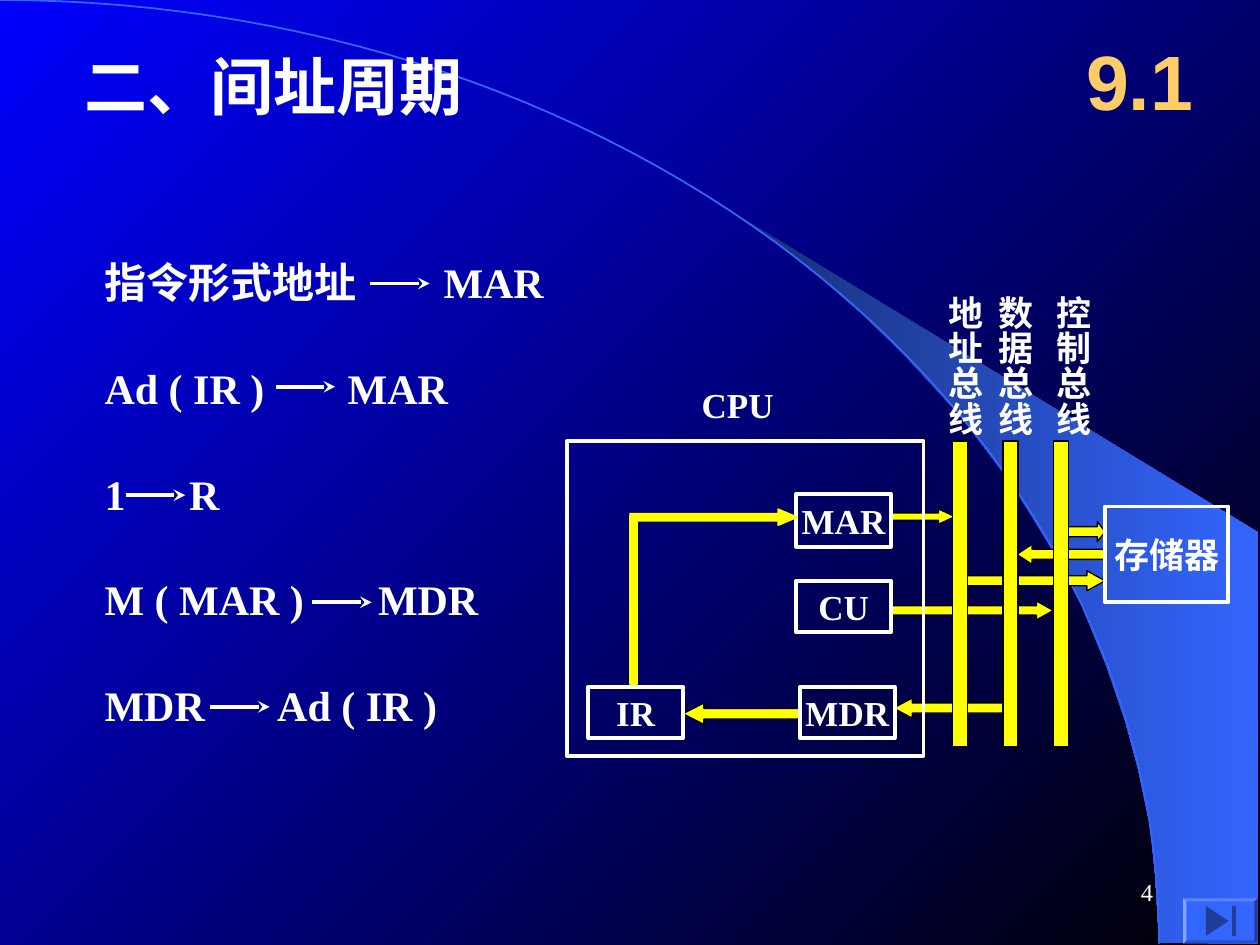
from math import cos, pi, sin
from lxml.etree import SubElement
from pptx import Presentation
from pptx.dml.color import RGBColor
from pptx.enum.shapes import MSO_CONNECTOR, MSO_SHAPE
from pptx.enum.text import MSO_ANCHOR, MSO_AUTO_SIZE, PP_ALIGN
from pptx.oxml.ns import qn
from pptx.util import Inches, Pt

WHITE, YELLOW, BLACK = "FFFFFF", "FFFF00", "000000"
BLUE, NAVY, GOLD = "3366FF", "1F3D99", "FFCC66"
SERIF = "Times New Roman"
RIGHT, LEFT = MSO_SHAPE.RIGHT_ARROW, MSO_SHAPE.LEFT_ARROW

WEDGE = [
    (9.2, 7.48), (9.99, 7.49), (9.99, 4.23), (5.89, 1.73), (6.24, 1.99), (6.53, 2.22),
    (6.85, 2.5), (7.16, 2.8), (7.62, 3.3), (8.03, 3.84), (8.32, 4.31), (8.58, 4.79),
    (8.78, 5.28), (8.93, 5.72), (9.03, 6.09), (9.13, 6.56), (9.17, 6.96),
]
ARC_WIDTH, ARC_HEIGHT, ARC_STEPS = 9.2, 7.49, 60

# source, target, arrow start, arrow height, target offset
STEPS = [
    ("指令形式地址", "MAR", 2.94, 2.25, 2.69),
    ("Ad ( IR )", "MAR", 2.19, 3.07, 1.93),
    ("1", "R", 1.0, 3.93, 0.67),
    ("M ( MAR )", "MDR", 2.48, 4.78, 2.17),
    ("MDR", "Ad ( IR )", 1.67, 5.61, 1.37),
]
STEP_LEFT, STEP_TOP, STEP_PITCH, STEP_ARROW = 0.83, 2.0, 0.84, 0.47

ARROWS_BEHIND_FRAME = [
    (LEFT, (7.09, 5.54, 0.87, 0.16), (0.5, 0.945)),
    (LEFT, (5.42, 5.58, 0.92, 0.17), (0.5, 0.979)),
    (RIGHT, (7.08, 4.77, 1.28, 0.15), (0.492, 0.893)),
    (RIGHT, (7.08, 4.04, 0.5, 0.12), (0.494, 1.085)),
]
MEMORY_ARROWS = [
    (LEFT, (8.07, 4.32, 0.69, 0.16), (0.5, 0.755)),
    (RIGHT, (7.67, 4.53, 1.1, 0.16), (0.5, 0.899)),
    (RIGHT, (8.42, 4.14, 0.35, 0.16), (0.5, 0.379)),
]
UNITS = [
    ("MAR", (6.32, 3.92, 0.75, 0.42)),
    ("CU", (6.32, 4.61, 0.75, 0.41)),
    ("MDR", (6.35, 5.45, 0.75, 0.41)),
    ("IR", (4.67, 5.45, 0.75, 0.41)),
    ("存储器", (8.77, 4.02, 0.98, 0.76)),
]
BUSES = [("地址总线", 7.56, 7.34), ("数据总线", 7.96, 7.74), ("控制总线", 8.36, 8.2)]


def color(value):
    return RGBColor.from_string(value)


def paint_gradient(fill, start, end, angle):
    fill.gradient()
    fill.gradient_angle = angle
    for stop, value, position in zip(fill.gradient_stops, (start, end), (0, 1)):
        stop.color.rgb = color(value)
        stop.position = position


def style(shape, fill=None, line=None, width=0.75):
    shape.shadow.inherit = False
    if fill:
        shape.fill.solid()
        shape.fill.fore_color.rgb = color(fill)
    else:
        shape.fill.background()
    if line:
        shape.line.color.rgb = color(line)
        shape.line.width = Pt(width)
    else:
        shape.line.fill.background()
    return shape


def add_shape(page, kind, place, adjustments=(), **look):
    shape = page.shapes.add_shape(kind, *map(Inches, place))
    for index, value in enumerate(adjustments):
        shape.adjustments[index] = value
    return style(shape, **look)


def add_outline(page, points, close=True, **look):
    builder = page.shapes.build_freeform(
        Inches(points[0][0]), Inches(points[0][1]), scale=1.0)
    builder.add_line_segments(
        [(Inches(x), Inches(y)) for x, y in points[1:]], close=close)
    return style(builder.convert_to_shape(), **look)


def write(shape, text, size, align=PP_ALIGN.LEFT, font=SERIF, value=WHITE,
          bold=True, margins=(0.1, 0.05), wrap=False, tab=None):
    frame = shape.text_frame
    frame.word_wrap = wrap
    frame.vertical_anchor = MSO_ANCHOR.MIDDLE
    frame.margin_left = frame.margin_right = Inches(margins[0])
    frame.margin_top = frame.margin_bottom = Inches(margins[1])
    para = frame.paragraphs[0]
    para.text = text
    para.alignment = align
    if tab:
        tabs = SubElement(para._p.get_or_add_pPr(), qn("a:tabLst"))
        SubElement(tabs, qn("a:tab"), pos=str(Inches(tab)), algn="l")
    para.font.size = Pt(size)
    para.font.name = font
    para.font.bold = bold
    para.font.color.rgb = color(value)
    return frame


def add_text(page, place, text, size, **options):
    box = page.shapes.add_textbox(*map(Inches, place))
    return write(box, text, size, **options)


def add_step_arrow(page, left, height):
    arrow = page.shapes.add_connector(
        MSO_CONNECTOR.STRAIGHT, Inches(left), Inches(height),
        Inches(left + STEP_ARROW), Inches(height))
    arrow.line.color.rgb = color(WHITE)
    arrow.line.width = Pt(2.25)
    properties = arrow._element.spPr
    SubElement(properties.find(qn("a:ln")), qn("a:tailEnd"), type="stealth")
    SubElement(properties, qn("a:effectLst"))


def draw_backdrop(page):
    paint_gradient(page.background.fill, "0000FF", BLACK, 315)
    wedge = add_outline(page, WEDGE)
    paint_gradient(wedge.fill, "182F76", BLUE, 0)
    angles = [pi / 2 * step / ARC_STEPS for step in range(ARC_STEPS + 1)]
    arc = [(ARC_WIDTH * sin(a), ARC_HEIGHT * (1 - cos(a))) for a in angles]
    add_outline(page, arc, close=False, line=BLUE, width=1)


def draw_steps(page):
    for row, (source, target, arrow_left, arrow_height, offset) in enumerate(STEPS):
        place = (STEP_LEFT, STEP_TOP + row * STEP_PITCH, 4.72, 0.47)
        add_text(page, place, f"{source}\t{target}", 24,
                 margins=(0, 0), wrap=True, tab=offset)
        add_step_arrow(page, arrow_left, arrow_height)


def draw_diagram(page):
    for kind, place, adjustments in ARROWS_BEHIND_FRAME:
        add_shape(page, kind, place, adjustments, fill=YELLOW, line=BLACK)
    add_shape(page, MSO_SHAPE.RECTANGLE, (4.5, 3.5, 2.83, 2.5), line=WHITE, width=2.25)
    for kind, place, adjustments in MEMORY_ARROWS:
        add_shape(page, kind, place, adjustments, fill=YELLOW, line=BLACK)
    for name, bus_left, label_left in BUSES:
        add_shape(page, MSO_SHAPE.RECTANGLE, (bus_left, 3.5, 0.12, 2.43),
                  fill=YELLOW, line=BLACK)
        label = add_text(page, (label_left, 2.25, 0.53, 1.22), name, 20,
                         margins=(0.05, 0.1))
        label.vertical_anchor = MSO_ANCHOR.TOP
        label.auto_size = MSO_AUTO_SIZE.SHAPE_TO_FIT_TEXT
        label._txBody.bodyPr.set("vert", "eaVert")
    for name, place in UNITS:
        unit = add_shape(page, MSO_SHAPE.RECTANGLE, place, line=WHITE, width=2.25)
        write(unit, name, 20, align=PP_ALIGN.CENTER)
    add_text(page, (5.47, 2.99, 0.77, 0.44), "CPU", 20, align=PP_ALIGN.CENTER)
    add_shape(page, MSO_SHAPE.RECTANGLE, (5, 4.09, 0.06, 1.34), fill=YELLOW, line=YELLOW)
    add_shape(page, RIGHT, (5, 4.04, 1.33, 0.13), (0.458, 1.182),
              fill=YELLOW, line=YELLOW)


def draw_end_button(page):
    add_shape(page, MSO_SHAPE.BEVEL, (9.39, 7.13, 0.59, 0.36), (0.07,), fill=BLUE)
    add_outline(page, [(9.75, 7.31), (9.57, 7.43), (9.57, 7.19)], fill=NAVY)
    add_shape(page, MSO_SHAPE.RECTANGLE, (9.78, 7.19, 0.03, 0.24), fill=NAVY)


def main():
    deck = Presentation()
    deck.slide_width, deck.slide_height = Inches(10), Inches(7.5)
    page = deck.slides.add_slide(deck.slide_layouts[6])
    draw_backdrop(page)
    add_text(page, (0.67, 0.44, 3.54, 0.47), "二、间址周期", 36, margins=(0, 0))
    draw_steps(page)
    add_text(page, (8.42, 0.17, 1.25, 0.92), "9.1", 44, align=PP_ALIGN.CENTER,
             font="Arial", value=GOLD, wrap=True)
    draw_diagram(page)
    draw_end_button(page)
    add_text(page, (7.17, 6.83, 2.08, 0.5), "4", 14, align=PP_ALIGN.RIGHT,
             bold=False, wrap=True)
    deck.save("out.pptx")


if __name__ == "__main__":
    main()
